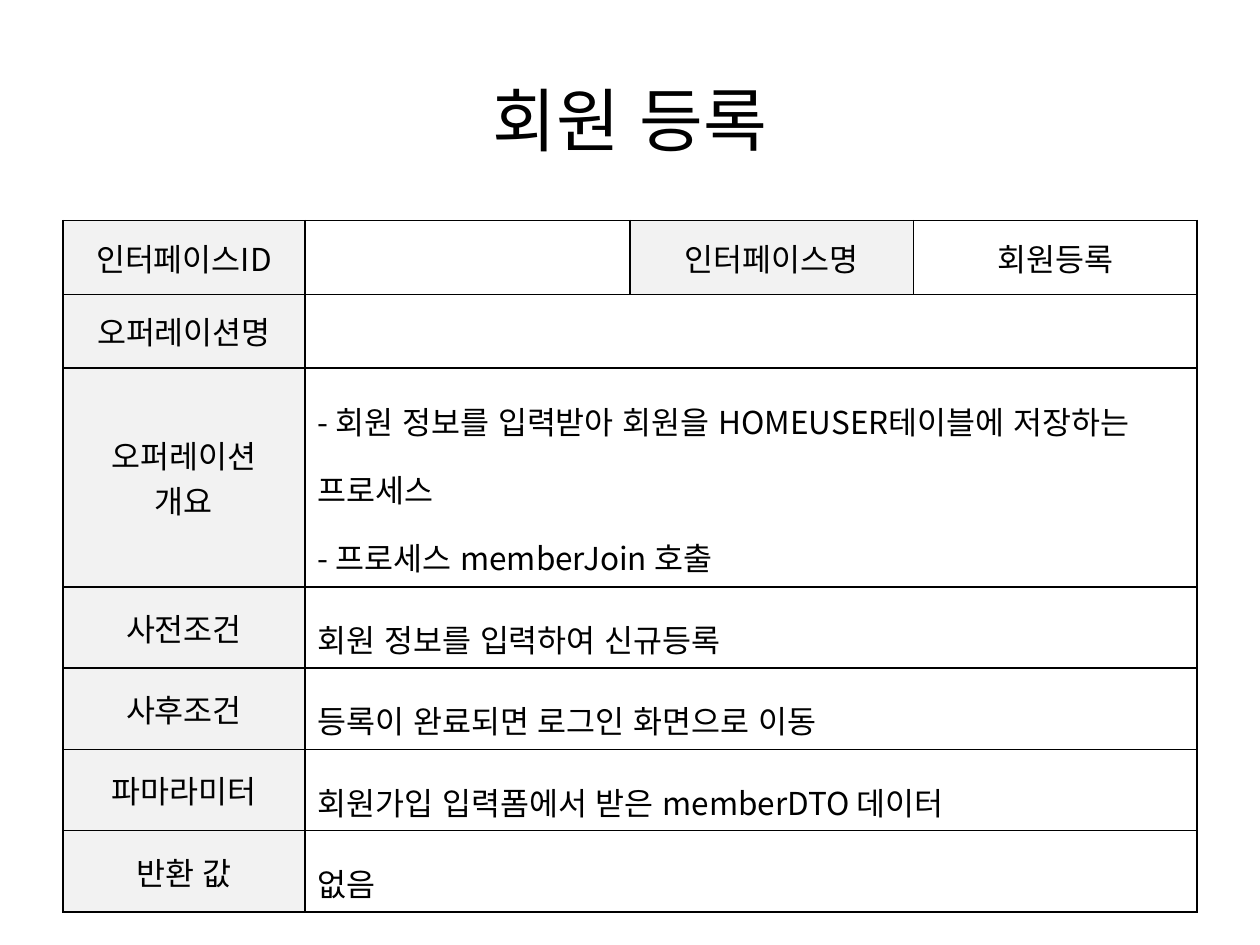
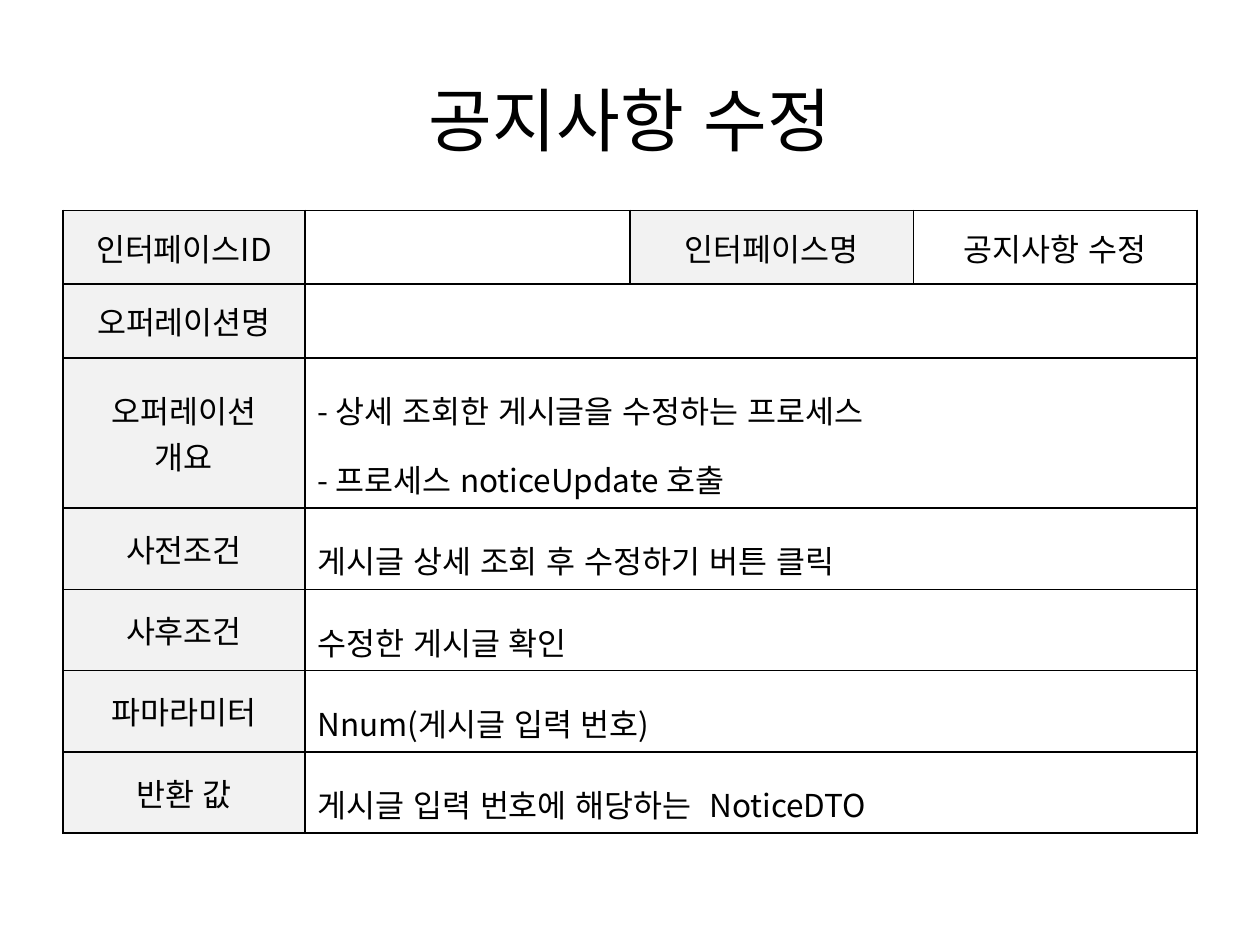
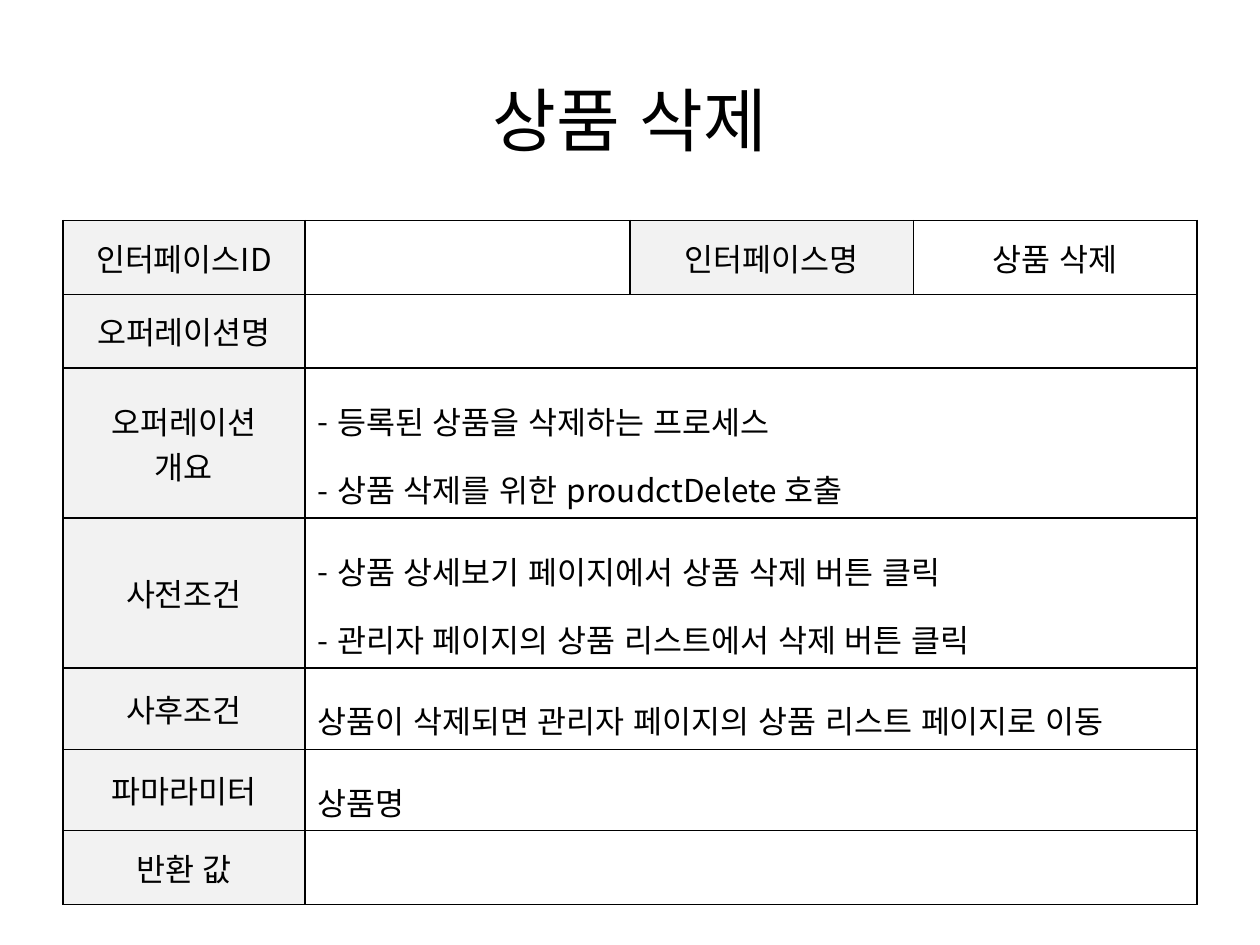
from pptx import Presentation, util as u
from pptx.dml.color import RGBColor
from pptx.enum import lang, text
from pptx.oxml.ns import qn
from lxml import etree

# Content: each body holds one list of lines per row, from the outline down
HEADS = ("인터페이스ID", "인터페이스명")
LABELS = (["오퍼레이션명"], ["오퍼레이션", "개요"], ["사전조건"],
          ["사후조건"], ["파마라미터"], ["반환 값"])
PAGES = [
    dict(title="회원 등록", name="회원등록", top=1.75, dash=False, body=[
        ["- 회원 정보를 입력받아 회원을 HOMEUSER테이블에 저장하는 프로세스",
         "- 프로세스 memberJoin 호출"],
        ["회원 정보를 입력하여 신규등록"],
        ["등록이 완료되면 로그인 화면으로 이동"],
        ["회원가입 입력폼에서 받은 memberDTO 데이터"],
        ["없음"]]),
    dict(title="공지사항 수정", name="공지사항 수정", top=1.67, dash=False, body=[
        ["- 상세 조회한 게시글을 수정하는 프로세스",
         "- 프로세스 noticeUpdate 호출"],
        ["게시글 상세 조회 후 수정하기 버튼 클릭"],
        ["수정한 게시글 확인"],
        ["Nnum(게시글 입력 번호)"],
        ["게시글 입력 번호에 해당하는  NoticeDTO"]]),
    dict(title="상품 삭제", name="상품 삭제", top=1.75, dash=True, body=[
        [" 등록된 상품을 삭제하는 프로세스",
         " 상품 삭제를 위한 proudctDelete 호출"],
        [" 상품 상세보기 페이지에서 상품 삭제 버튼 클릭",
         " 관리자 페이지의 상품 리스트에서 삭제 버튼 클릭"],
        ["상품이 삭제되면 관리자 페이지의 상품 리스트 페이지로 이동"],
        ["상품명"],
        []]),
]

# Shared style
FONT = "Noto Sans CJK KR"
BLACK = RGBColor(0, 0, 0)
WHITE = RGBColor(255, 255, 255)
GREY = RGBColor(0xF2, 0xF2, 0xF2)
WIDE, HIGH, EDGE = 10, 7.5, 0.5
COLS = (1.92, 2.58, 2.25, 2.25)
ROW = 4.1 / 7            # row without a value
LINE, PAD = 6 / 11, 0.1  # value line at 1.5 spacing, cell margins
FULL = 36                # letters that fit on one value line
CENTER = text.PP_ALIGN.CENTER


def write(frame, lines, size=18, align=None, space=None, dash=False):
    for i, line in enumerate(lines):
        para = frame.add_paragraph() if i else frame.paragraphs[0]
        para.text = line
        para.alignment, para.line_spacing = align, space
        font = para.font
        font.name, font.size = FONT, u.Pt(size)
        font.color.rgb = BLACK
        font.language_id = lang.MSO_LANGUAGE_ID.KOREAN
        base = para._p.pPr.find(qn("a:defRPr"))
        base.set("kern", "0")
        base.find(qn("a:latin")).addnext(
            etree.Element(qn("a:ea"), typeface=FONT))
        if dash:
            base.addprevious(etree.Element(qn("a:buFont"), typeface=FONT))
            base.addprevious(etree.Element(qn("a:buChar"), char="-"))


def frame_cell(cell, color):
    props = cell._tc.get_or_add_tcPr()
    for side in "LRTB":
        line = etree.SubElement(props, qn("a:ln" + side), w=str(u.Pt(1)))
        fill = etree.SubElement(line, qn("a:solidFill"))
        etree.SubElement(fill, qn("a:srgbClr"), val=str(BLACK))
    cell.fill.solid()
    cell.fill.fore_color.rgb = color
    cell.vertical_anchor = text.MSO_ANCHOR.MIDDLE


def add_title(slide, words):
    box = slide.shapes.add_textbox(*map(u.Inches, (EDGE, 0.62, WIDE - 2 * EDGE, 0.64)))
    frame = box.text_frame
    frame.word_wrap = True
    frame.vertical_anchor = text.MSO_ANCHOR.MIDDLE
    write(frame, [words], 39.6, CENTER)


def tall(lines):
    count = sum(1 + len(line) // FULL for line in lines)
    return count * LINE + PAD if count else ROW


def add_grid(slide, page):
    values = [[], *page["body"]]
    rows = [ROW, *map(tall, values)]
    grid = slide.shapes.add_table(
        len(rows), len(COLS), *map(u.Inches, (EDGE, page["top"], sum(COLS), sum(rows)))).table
    grid.first_row = grid.horz_banding = False
    for col, width in zip(grid.columns, COLS):
        col.width = u.Inches(width)
    for row, height in zip(grid.rows, rows):
        row.height = u.Inches(height)
    for r in range(len(rows)):
        for c in range(len(COLS)):
            head = c == 0 or (r, c) == (0, 2)
            frame_cell(grid.cell(r, c), GREY if head else WHITE)

    # Top row: two label and value pairs
    for c, words in ((0, HEADS[0]), (2, HEADS[1]), (3, page["name"])):
        write(grid.cell(0, c).text_frame, [words], align=CENTER)

    # Other rows: a label and one wide value
    for r, (label, lines) in enumerate(zip(LABELS, values), 1):
        write(grid.cell(r, 0).text_frame, label, align=CENTER)
        value = grid.cell(r, 1)
        value.merge(grid.cell(r, len(COLS) - 1))
        write(value.text_frame, lines, space=1.5,
              dash=page["dash"] and len(lines) > 1)


def main():
    deck = Presentation()
    deck.slide_width, deck.slide_height = u.Inches(WIDE), u.Inches(HIGH)
    for page in PAGES:
        slide = deck.slides.add_slide(deck.slide_layouts[6])
        add_title(slide, page["title"])
        add_grid(slide, page)
    deck.save("out.pptx")


if __name__ == "__main__":
    main()
